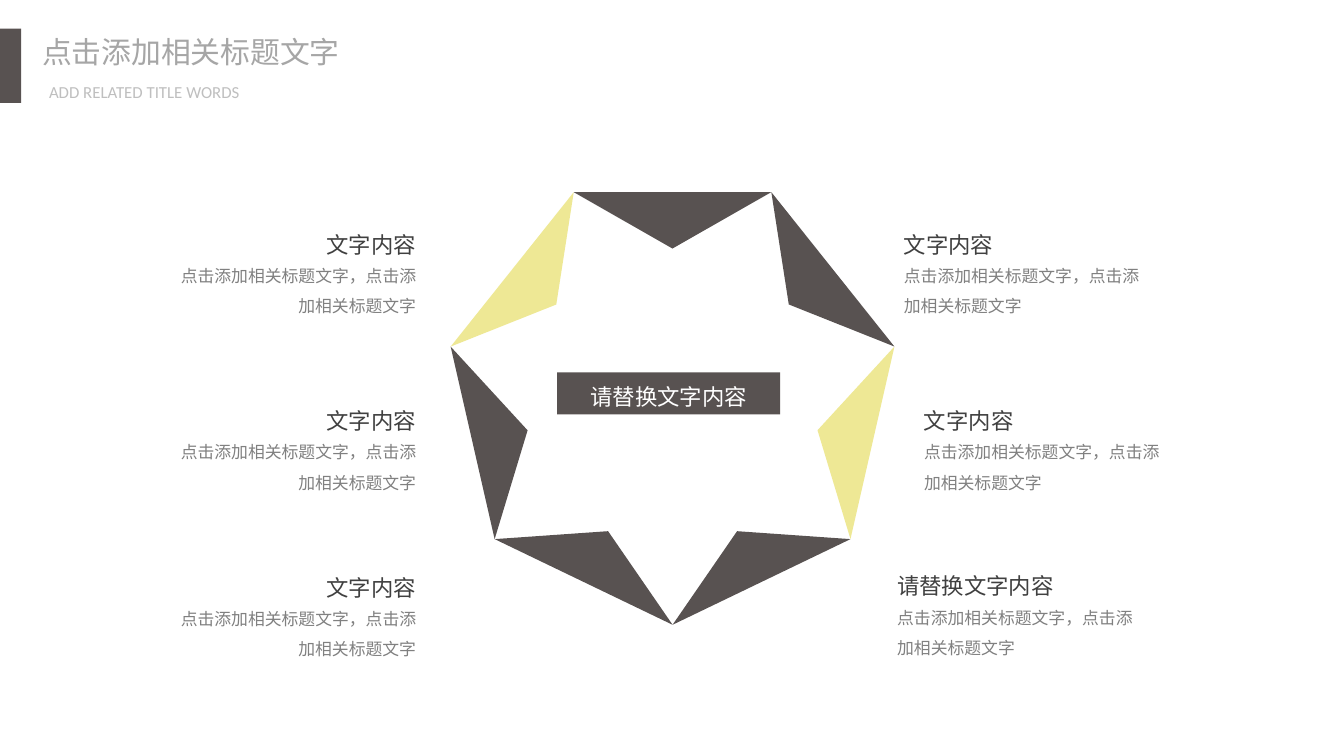
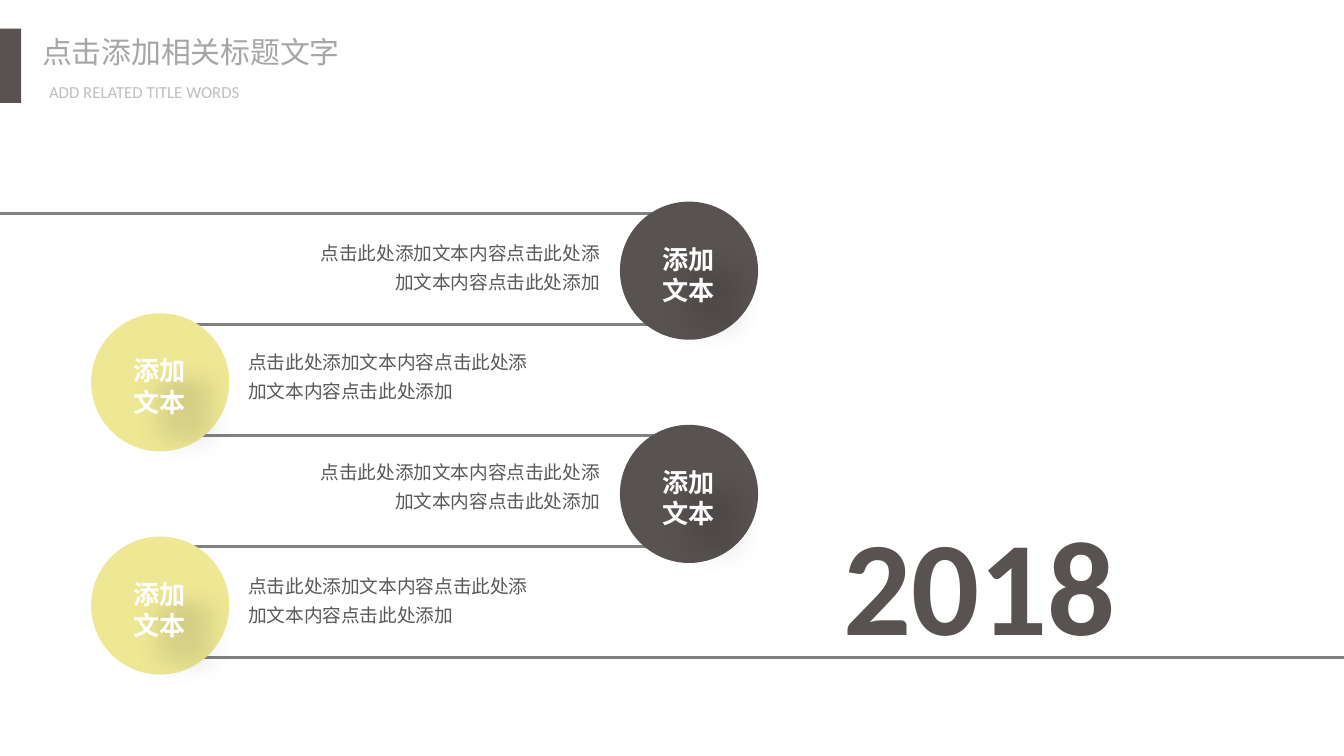
"""Build two slides: a seven-sided ring with six notes, and a winding timeline."""
import math

import lxml.etree
import pptx
import pptx.dml.color
import pptx.enum.shapes
import pptx.enum.text
import pptx.oxml
import pptx.oxml.ns
import pptx.util

Pt = pptx.util.Pt
RGB = pptx.dml.color.RGBColor
SHAPE = pptx.enum.shapes.MSO_SHAPE
ALIGN = pptx.enum.text.PP_ALIGN
LEFT, RIGHT, CENTER, JUSTIFY = ALIGN.LEFT, ALIGN.RIGHT, ALIGN.CENTER, ALIGN.JUSTIFY

DARK = RGB(0x58, 0x52, 0x51)
YELLOW = RGB(0xEE, 0xE8, 0x95)
WHITE = RGB(0xFF, 0xFF, 0xFF)
HEADING = RGB(0x40, 0x40, 0x40)
BODY = RGB(0x59, 0x59, 0x59)
GRAY = RGB(0x80, 0x80, 0x80)
TITLE = RGB(0xA6, 0xA6, 0xA6)
SUBTITLE = RGB(0xBF, 0xBF, 0xBF)
CJK, LATIN, ARIAL = "Noto Sans CJK SC", "Calibri", "Arial"

SLIDE_W, SLIDE_H = 720, 405
TIGHT, ROOMY = (5.4, 2.7), (7.2, 3.6)

PAGE_TITLE = "点击添加相关标题文字"
PAGE_SUBTITLE = "ADD RELATED TITLE WORDS"

RING_LABEL = "请替换文字内容"
RING_COLORS = [DARK, DARK, YELLOW, DARK, DARK, DARK, YELLOW]
RING_CENTER, RING_SIDE, RING_DEPTH = (360.3, 212.8), 105.8, 30.2
NOTE_BODY = "点击添加相关标题文字，点击添加相关标题文字"
NOTES = [
    ("文字内容", 228.2, 118, RIGHT),
    ("文字内容", 228.2, 212.4, RIGHT),
    ("文字内容", 228.2, 301.8, RIGHT),
    ("请替换文字内容", 475.2, 301, LEFT),
    ("文字内容", 489.6, 212.4, LEFT),
    ("文字内容", 478.8, 118, LEFT),
]

YEAR = "2018"
STEP_LABEL = ["添加", "文本"]
STEP_BODY = "点击此处添加文本内容点击此处添加文本内容点击此处添加"
STEP_TEXT_TOPS = [122.4, 180.7, 239.8, 301]
STEP_LEFT, STEP_RIGHT, STEP_TOP, STEP_GAP, STEP_SIZE = 48.8, 332.1, 108, 59.8, 74
LINE_TOP, LINE_GAP, LINE_LEFT, LINE_RIGHT = 114.5, 59.4, 86.4, 367.2

SHADOW = (
    f'<a:effectLst {pptx.oxml.ns.nsdecls("a")}>'
    '<a:outerShdw blurRad="190500" dist="228600" dir="2700000" algn="ctr" rotWithShape="0">'
    '<a:srgbClr val="000000"><a:alpha val="30000"/></a:srgbClr>'
    '</a:outerShdw></a:effectLst>'
)


def paint(sp, color):
    sp.shadow.inherit = False
    sp.fill.solid()
    sp.fill.fore_color.rgb = color
    sp.line.fill.background()
    return sp


def add_block(shapes, kind, box, color):
    return paint(shapes.add_shape(kind, *map(Pt, box)), color)


def write(sp, lines, size, color, font=CJK, bold=None, align=LEFT, spacing=None,
          before=None, insets=TIGHT, wrap=True):
    tf = sp.text_frame
    tf.word_wrap = wrap
    tf.auto_size = pptx.enum.text.MSO_AUTO_SIZE.SHAPE_TO_FIT_TEXT
    tf.margin_left = tf.margin_right = Pt(insets[0])
    tf.margin_top = tf.margin_bottom = Pt(insets[1])
    for i, line in enumerate([lines] if isinstance(lines, str) else lines):
        p = tf.add_paragraph() if i else tf.paragraphs[0]
        p.alignment = align
        if spacing:
            p.line_spacing = spacing
        if before:
            p.space_before = Pt(before)
        r = p.add_run()
        r.text = line
        r.font.name, r.font.size, r.font.bold = font, Pt(size), bold
        r.font.color.rgb = color
    return sp


def add_text(shapes, box, lines, **fmt):
    return write(shapes.add_textbox(*map(Pt, box)), lines, **fmt)


def add_line(shapes, x1, x2, y):
    sp = shapes.add_connector(pptx.enum.shapes.MSO_CONNECTOR.STRAIGHT,
                              Pt(x1), Pt(y), Pt(x2), Pt(y))
    sp.line.color.rgb = GRAY
    sp.line.width = Pt(1.5)
    lxml.etree.SubElement(sp._element.spPr, pptx.oxml.ns.qn("a:effectLst"))


def add_page(prs):
    shapes = prs.slides.add_slide(prs.slide_layouts[6]).shapes
    add_block(shapes, SHAPE.RECTANGLE, (0, 15.4, 11.4, 39.8), DARK)
    add_text(shapes, (17.2, 15.4, 172.8, 25.2), PAGE_TITLE, size=16, color=TITLE, wrap=False)
    add_text(shapes, (20.9, 41, 160.6, 16.6), PAGE_SUBTITLE, size=9, color=SUBTITLE,
             font=LATIN, align=JUSTIFY)
    return shapes


def build_ring(shapes):
    group = shapes.add_group_shape().shapes
    cx, cy = RING_CENTER
    sides = len(RING_COLORS)
    reach = RING_SIDE / 2 / math.tan(math.pi / sides) - RING_DEPTH / 2
    for i, color in enumerate(RING_COLORS):
        turn = 2 * math.pi * i / sides
        x = cx + reach * math.sin(turn) - RING_SIDE / 2
        y = cy - reach * math.cos(turn) - RING_DEPTH / 2
        fb = group.build_freeform(Pt(x), Pt(y))
        fb.add_line_segments([(Pt(x + RING_SIDE), Pt(y)),
                              (Pt(x + RING_SIDE / 2), Pt(y + RING_DEPTH))])
        paint(fb.convert_to_shape(), color).rotation = math.degrees(turn)

    label = add_block(shapes, SHAPE.RECTANGLE, (298.5, 199.6, 119.5, 22.5), DARK)
    write(label, RING_LABEL, size=12, color=WHITE, font=ARIAL, align=CENTER,
          spacing=1.2, before=2.4)

    for heading, edge, top, align in NOTES:
        for text, width, drop, height, fmt in (
            (heading, 136, 0, 23, dict(size=12, color=HEADING, font=ARIAL, spacing=1.2)),
            (NOTE_BODY, 143, 16.3, 38.2, dict(size=9, color=GRAY, spacing=1.5)),
        ):
            left = edge - width if align == RIGHT else edge
            add_text(shapes, (left, top + drop, width, height), text, align=align, **fmt)


def build_timeline(shapes):
    count = len(STEP_TEXT_TOPS)
    for i in range(count + 1):
        add_line(shapes, LINE_LEFT if i else 0, SLIDE_W if i == count else LINE_RIGHT,
                 LINE_TOP + i * LINE_GAP)
    for i, text_top in enumerate(STEP_TEXT_TOPS):
        on_left = i % 2
        x, y = STEP_LEFT if on_left else STEP_RIGHT, STEP_TOP + i * STEP_GAP
        group = shapes.add_group_shape().shapes
        add_block(group, SHAPE.OVAL, (x, y, STEP_SIZE, STEP_SIZE), YELLOW if on_left else DARK)
        label = add_text(group, (x + 15.6, y + 18.7, 42.4, 41), STEP_LABEL, size=14, color=WHITE,
                         bold=True, align=CENTER, insets=ROOMY, wrap=False)
        label._element.spPr.append(pptx.oxml.parse_xml(SHADOW))
        add_text(shapes, (126 if on_left else 155.5, text_top, 172.8, 38.9), STEP_BODY, size=10,
                 color=BODY, align=LEFT if on_left else RIGHT, spacing=1.3, before=6,
                 insets=ROOMY)
    add_text(shapes, (445, 265, 162, 94.3), YEAR, size=72, color=DARK, font=LATIN,
             bold=True, insets=ROOMY, wrap=False)


def main():
    prs = pptx.Presentation()
    prs.slide_width, prs.slide_height = Pt(SLIDE_W), Pt(SLIDE_H)
    build_ring(add_page(prs))
    build_timeline(add_page(prs))
    prs.save("out.pptx")


if __name__ == "__main__":
    main()
